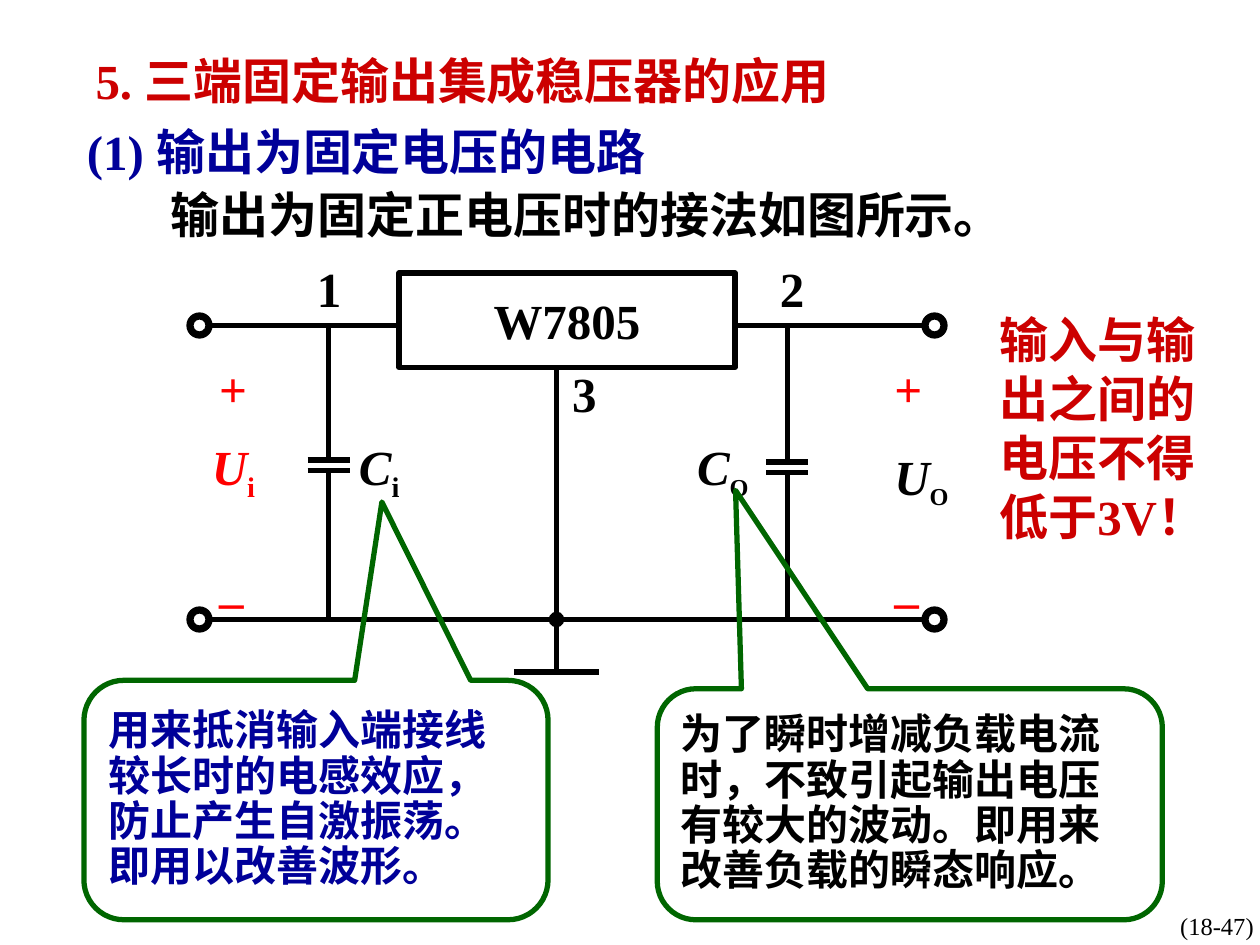
import pptx
import pptx.dml.color
import pptx.enum.shapes
import pptx.enum.text
import pptx.oxml
import pptx.oxml.ns
import pptx.util
from lxml import etree

HUES = {"ink": "000000", "blue": "000099", "red": "CC0000",
        "bright": "FF0000", "green": "006600"}
COLS, ROWS = 120, 90
SERIF, SANS = "Times New Roman", "Noto Sans CJK SC"
KIND = pptx.enum.shapes.MSO_SHAPE
ANCHOR = pptx.enum.text.MSO_ANCHOR
ALIGN = pptx.enum.text.PP_ALIGN
FIT = pptx.enum.text.MSO_AUTO_SIZE


def hue(name):
    return pptx.dml.color.RGBColor.from_string(HUES[name])


def apply(target, values):
    for key, value in values.items():
        setattr(target, key, value)


class Board:
    def __init__(self, deck):
        self.wide, self.high = deck.slide_width, deck.slide_height
        self.slide = deck.slides.add_slide(deck.slide_layouts[5])
        self.shapes = self.slide.shapes
        self.style = {"name": SERIF, "size": pptx.util.Pt(28),
                      "bold": True, "italic": False}

    def place(self, *grid):
        sides = (self.wide / COLS, self.high / ROWS) * 2
        return [pptx.util.Emu(round(n * side)) for n, side in zip(grid, sides)]

    def run(self, para, text, tint, size=28, name=SERIF, sub=False, **form):
        run = para.add_run()
        run.text = text
        apply(run.font, {**self.style, "name": name,
                         "size": pptx.util.Pt(size), **form})
        run.font.color.rgb = hue(tint)
        props = run.font._element
        east = etree.SubElement(props, pptx.oxml.ns.qn("a:ea"))
        east.set("typeface", SANS)
        if sub:
            props.set("baseline", "-25000")

    def fill(self, frame, lines, tint, frame_form=None, para_form=None, gap=0, **form):
        apply(frame, {"word_wrap": True, "vertical_anchor": ANCHOR.TOP,
                      "auto_size": FIT.NONE, **(frame_form or {})})
        for n, line in enumerate(lines):
            para = frame.paragraphs[0] if n == 0 else frame.add_paragraph()
            apply(para, {"alignment": ALIGN.LEFT, **(para_form or {})})
            if n and gap:
                para.space_before = pptx.util.Pt(gap)
            parts = [(line, {})] if isinstance(line, str) else line
            for text, extra in parts:
                self.run(para, text, tint, **{**form, **extra})

    def title(self, grid, lines, tint):
        head = self.shapes.title
        apply(head, dict(zip(("left", "top", "width", "height"), self.place(*grid))))
        self.fill(head.text_frame, lines, tint)

    def text(self, grid, lines, tint="ink", **form):
        box = self.shapes.add_textbox(*self.place(*grid))
        self.fill(box.text_frame, lines, tint, **form)

    def symbol(self, left, top, letter, sub, tint="ink", size=28):
        self.text((left, top, 10, 7.5),
                  [[(letter, {"italic": True}), (sub, {"sub": True, "size": size})]],
                  tint)

    def shape(self, kind, grid, tint="ink", bends=()):
        item = self.shapes.add_shape(kind, *self.place(*grid))
        item.shadow.inherit = False
        item.fill.background()
        item.line.color.rgb = hue(tint)
        item.line.width = pptx.util.Pt(3)
        for n, bend in enumerate(bends):
            item.adjustments[n] = bend
        return item

    def wire(self, *ends, dot=False):
        line = self.shapes.add_connector(
            pptx.enum.shapes.MSO_CONNECTOR.STRAIGHT, *self.place(*ends))
        line.line.color.rgb = hue("ink")
        line.line.width = pptx.util.Pt(3)
        if dot:
            tail = etree.SubElement(line.line._get_or_add_ln(),
                                    pptx.oxml.ns.qn("a:tailEnd"))
            tail.set("type", "oval")
        etree.SubElement(line._element.spPr, pptx.oxml.ns.qn("a:effectLst"))

    def plates(self, mid, top, low, gap):
        self.wire(mid, top, mid, gap)
        self.wire(mid, gap + 1, mid, low)
        for row in (gap, gap + 1):
            self.wire(mid - 2, row, mid + 2, row)

    def node(self, mid, row):
        self.shape(KIND.DONUT, (mid - 1, row - 1, 2, 2), bends=[0.09])

    def bubble(self, grid, bends, lines, tint):
        item = self.shape(KIND.ROUNDED_RECTANGULAR_CALLOUT, grid, "green", bends)
        self.fill(item.text_frame, lines, tint, size=24,
                  frame_form={"vertical_anchor": ANCHOR.MIDDLE, "word_wrap": False},
                  para_form={"line_spacing": 0.9})


def main():
    deck = pptx.Presentation()
    deck.slide_width = pptx.util.Inches(10)
    deck.slide_height = pptx.util.Inches(7.5)
    board = Board(deck)
    centre = {"alignment": ALIGN.CENTER}
    middle = {"vertical_anchor": ANCHOR.MIDDLE}

    board.title((7.9, 4.2, 74, 6.9),
                [[("5. ", {}), ("三端固定输出集成稳压器的应用", {"name": SANS})]], "red")
    board.text((7.1, 11, 58, 6.9), ["(1) 输出为固定电压的电路"], "blue")
    board.text((14.4, 17, 83, 6.9), ["输出为固定正电压时的接法如图所示。"],
               para_form=centre)
    board.text((94, 28.9, 24.4, 23.6),
               [[("输入与输出之间的电压不得低于", {"name": SANS}), ("3V", {}),
                 ("！", {"name": SANS})]], "red", frame_form=middle)
    board.text((104.3, 86.2, 23.2, 4), ["(18-47)"], size=14, bold=False,
               frame_form=middle, para_form=centre)

    top, low = 31, 59
    board.wire(20, low, 88, low)
    board.wire(20, top, 38, top)
    board.wire(70, top, 88, top)
    for mid in (19, 89):
        for row in (top, low):
            board.node(mid, row)
    chip = board.shape(KIND.RECTANGLE, (38, 26, 32, 9))
    board.fill(chip.text_frame, ["W7805"], "ink", frame_form=middle, para_form=centre)
    board.plates(31.3, top, low, 43.8)
    board.plates(75, top, low, 44)
    board.wire(53, 35, 53, low, dot=True)
    board.wire(53, low, 53, 64)
    board.wire(49, 64, 57, 64)

    board.symbol(33, 41, "C", "i")
    board.symbol(19, 41, "U", "i", "bright")
    board.symbol(65.2, 41, "C", "O", size=24)
    board.symbol(84, 41.9, "U", "O", size=24)
    for left in (19.7, 84):
        board.text((left, 29.6, 4.3, 29.8), ["+", "_"], "bright", gap=54.7,
                   para_form={"line_spacing": 1.7})
    for mark, left, row in (("1", 29, 24), ("2", 73.1, 24), ("3", 53.3, 34)):
        board.text((left, row, 4.7, 6.9), [mark])

    board.bubble((62.6, 65.6, 48.1, 22), (-0.345, -1.359, 0.167),
                 ["为了瞬时增减负载电流", "时，不致引起输出电压",
                  "有较大的波动。即用来", "改善负载的瞬态响应。"], "ink")
    board.bubble((8, 64.8, 44.2, 22.8), (0.142, -1.245, 0.167),
                 ["用来抵消输入端接线", "较长时的电感效应，",
                  "防止产生自激振荡。", "即用以改善波形。"], "blue")
    deck.save("out.pptx")


if __name__ == "__main__":
    main()
